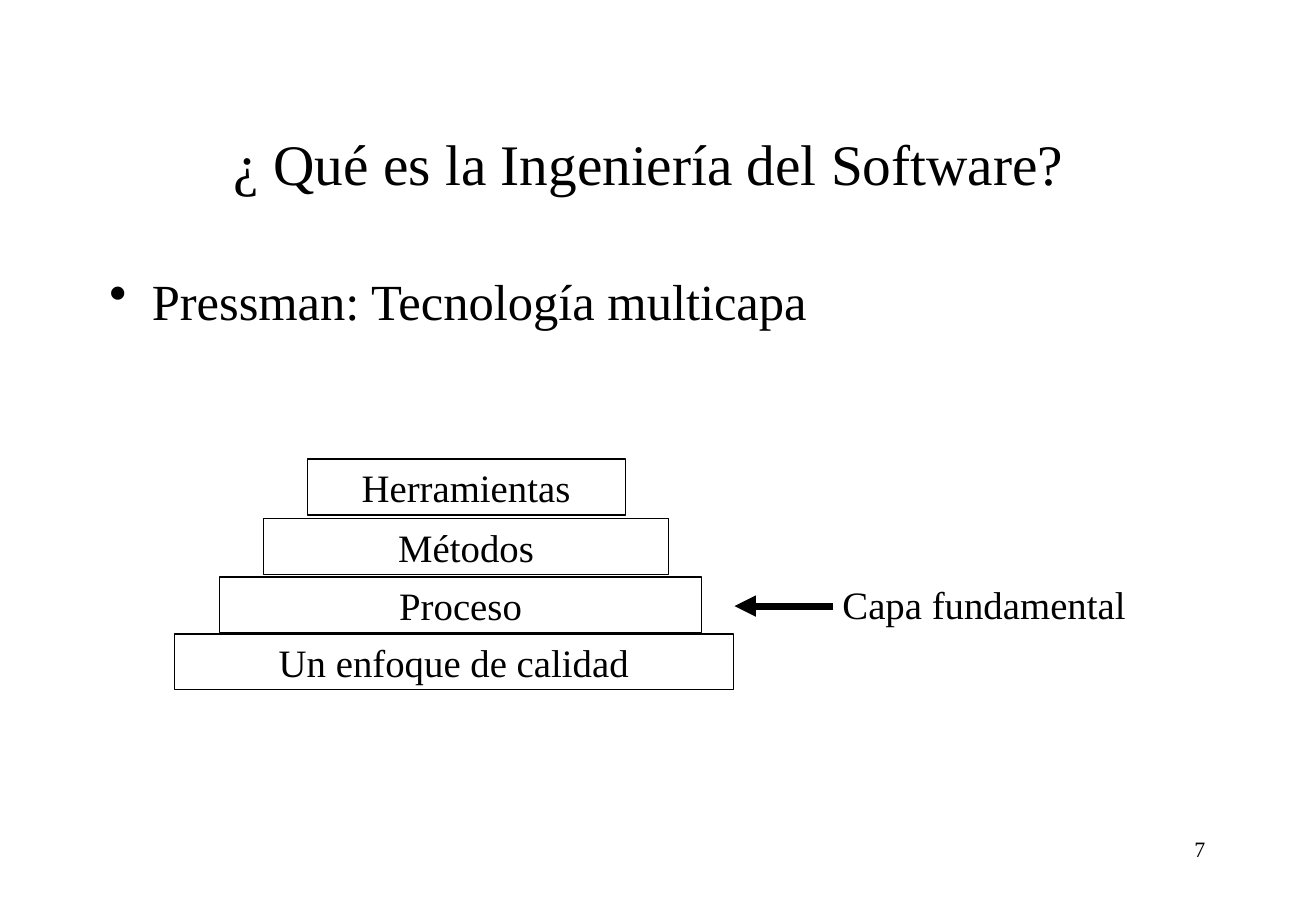
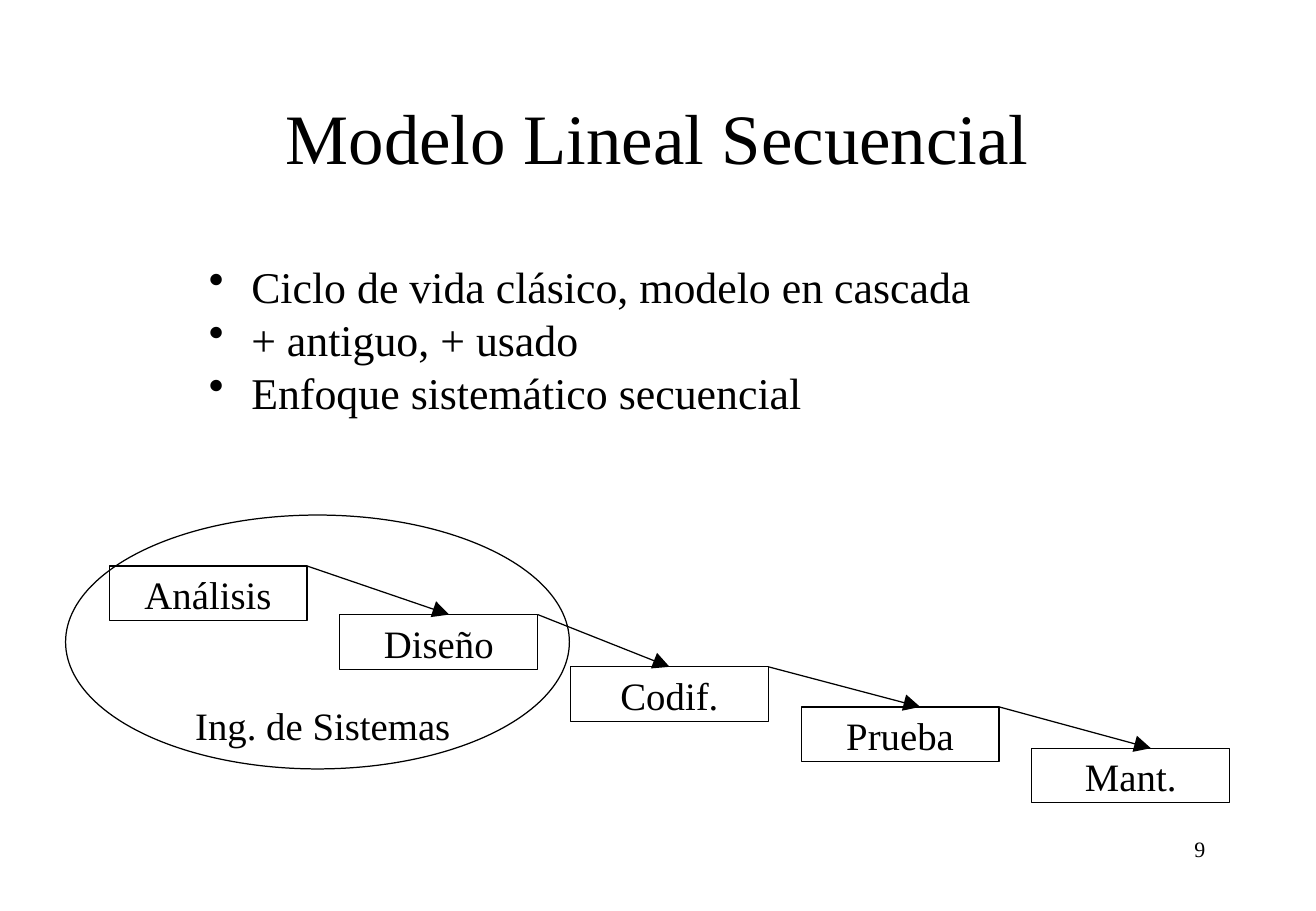
from lxml.etree import SubElement
from pptx import Presentation
from pptx.dml.color import RGBColor
from pptx.enum.shapes import MSO_CONNECTOR, MSO_SHAPE
from pptx.enum.text import MSO_ANCHOR, MSO_AUTO_SIZE, PP_ALIGN
from pptx.oxml.ns import qn
from pptx.util import Pt

BLACK = RGBColor(0x00, 0x00, 0x00)
WHITE = RGBColor(0xFF, 0xFF, 0xFF)
FONT = "Times New Roman"
EMU_PER_PX = 9144  # 100 px to the inch


def px(length):
    return length * EMU_PER_PX


WIDE_FRAME = {
    "word_wrap": True,
    "auto_size": MSO_AUTO_SIZE.NONE,
    "vertical_anchor": MSO_ANCHOR.TOP,
    "margin_left": px(9),
    "margin_right": px(9),
    "margin_top": px(5),
    "margin_bottom": px(5),
}
TITLE_FRAME = WIDE_FRAME | {"vertical_anchor": MSO_ANCHOR.MIDDLE}
LABEL_FRAME = WIDE_FRAME | {
    "margin_left": px(8),
    "margin_right": px(8),
    "margin_top": px(4),
    "margin_bottom": px(4),
}
CENTERED = {"alignment": PP_ALIGN.CENTER}
BULLET_INDENT = {"marL": px(35), "indent": px(-35)}
LABEL_SIZE = 23
NUMBER_SIZE = 13
THIN = 0.75


def apply(target, values):
    for name, value in values.items():
        setattr(target, name, value)


class Deck:
    """Holds the shared style and the slide being built."""

    def __init__(self, width, height):
        self.presentation = Presentation()
        apply(self.presentation, {"slide_width": px(width), "slide_height": px(height)})
        self.slide = None

    def start_slide(self, title, box, size, number):
        self.slide = self.presentation.slides.add_slide(self.presentation.slide_layouts[5])
        background = self.slide.background.fill
        background.solid()
        background.fore_color.rgb = WHITE
        heading = self.slide.shapes.title
        apply(heading, dict(zip(("left", "top", "width", "height"), map(px, box))))
        self.set_text(heading, [title], size, TITLE_FRAME, CENTERED)
        self.text((776, 683, 226, 50), [number], NUMBER_SIZE, WIDE_FRAME,
                  {"alignment": PP_ALIGN.RIGHT})

    def set_text(self, holder, lines, size, frame_format, paragraph_format):
        frame = holder.text_frame
        apply(frame, frame_format)
        frame.text = "\n".join(lines)
        for paragraph in frame.paragraphs:
            apply(paragraph, paragraph_format)
            apply(paragraph.font, {"name": FONT, "size": Pt(size)})
            paragraph.font.color.rgb = BLACK

    def text(self, box, lines, size, frame_format, paragraph_format):
        holder = self.slide.shapes.add_textbox(*map(px, box))
        self.set_text(holder, lines, size, frame_format, paragraph_format)
        return holder

    def bullets(self, box, lines, size, spacing):
        holder = self.text(box, lines, size, WIDE_FRAME, spacing)
        for paragraph in holder.text_frame.paragraphs:
            properties = paragraph._p.get_or_add_pPr()
            for name, value in BULLET_INDENT.items():
                properties.set(name, str(value))
            bullet = SubElement(properties, qn("a:buChar"), char="•")
            # The bullet has to come before the default run properties
            defaults = properties.find(qn("a:defRPr"))
            if defaults is not None:
                defaults.addprevious(bullet)

    def label(self, box, words, alignment=PP_ALIGN.CENTER):
        self.text(box, [words], LABEL_SIZE, LABEL_FRAME, {"alignment": alignment})

    def outline(self, preset, box):
        shape = self.slide.shapes.add_shape(preset, *map(px, box))
        shape.shadow.inherit = False
        shape.fill.background()
        shape.line.color.rgb = BLACK
        shape.line.width = Pt(THIN)
        return shape

    def block(self, box, words):
        shape = self.outline(MSO_SHAPE.RECTANGLE, box)
        self.set_text(shape, [words], LABEL_SIZE, LABEL_FRAME, CENTERED)
        return shape

    def arrow(self, start, end, weight=THIN, head="lg"):
        line = self.slide.shapes.add_connector(
            MSO_CONNECTOR.STRAIGHT, *map(px, (*start, *end)))
        line.line.color.rgb = BLACK
        line.line.width = Pt(weight)
        properties = line._element.spPr
        SubElement(properties.find(qn("a:ln")), qn("a:tailEnd"),
                   type="triangle", w=head, len=head)
        SubElement(properties, qn("a:effectLst"))
        return line


def build_layers(deck):
    deck.start_slide("¿ Qué es la Ingeniería del Software?", (74, 71, 921, 125), 34, "7")
    deck.bullets((81, 217, 921, 450), ["Pressman: Tecnología multicapa"], 30,
                 {"space_before": Pt(7.5)})
    deck.label((686, 474, 370, 46), "Capa fundamental", PP_ALIGN.LEFT)
    layers = [
        ("Un enfoque de calidad", 144, 522, 460),
        ("Proceso", 181, 475, 397),
        ("Métodos", 217, 427, 334),
        ("Herramientas", 253, 378, 262),
    ]
    for words, left, top, width in layers:
        deck.block((left, top, width, 46), words)
    deck.arrow((686, 499), (605, 499), weight=4.25, head="med")


def build_waterfall(deck):
    deck.start_slide("Modelo Lineal Secuencial", (81, 33, 921, 159), 42, "9")
    deck.bullets(
        (163, 217, 776, 142),
        ["Ciclo de vida clásico, modelo en cascada",
         "+ antiguo, + usado",
         "Enfoque sistemático secuencial"],
        26, {"space_before": Pt(6.5), "line_spacing": 0.8})

    step_width, step_height, first_left, pitch = 163, 45, 90, 190
    # Words, top, and where the arrow from the step before lands
    steps = [
        ("Análisis", 466, None),
        ("Diseño", 506, 370),
        ("Codif.", 549, 551),
        ("Prueba", 582, 758),
        ("Mant.", 616, 948),
    ]
    corner = None
    for index, (words, top, landing) in enumerate(steps):
        left = first_left + index * pitch
        step = deck.block((left, top, step_width, step_height), words)
        if corner:
            arrow = deck.arrow(corner, (landing, top))
            if abs(landing - left - step_width / 2) <= 1:
                arrow.end_connect(step, 0)
        corner = (left + step_width, top)

    deck.outline(MSO_SHAPE.OVAL, (54, 424, 415, 209))
    deck.label((90, 574, 352, 45), "Ing. de Sistemas")


def main():
    deck = Deck(1084, 750)
    build_layers(deck)
    build_waterfall(deck)
    deck.presentation.save("out.pptx")


if __name__ == "__main__":
    main()
